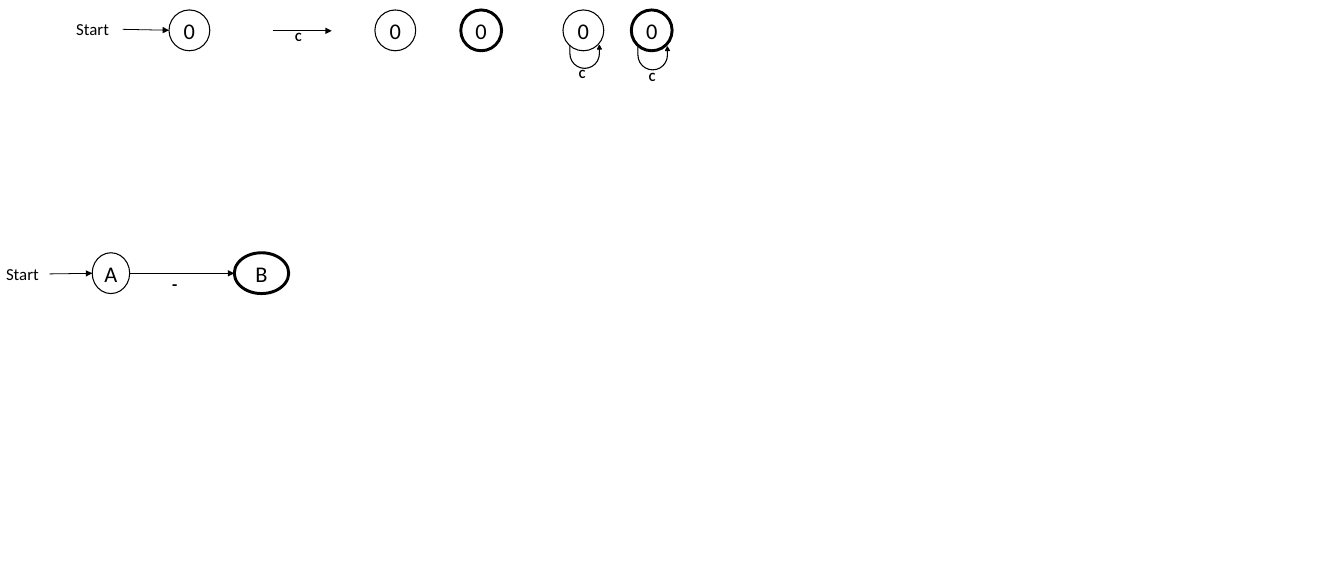
from lxml import etree
from pptx import Presentation
from pptx.dml.color import RGBColor
from pptx.enum.shapes import MSO_CONNECTOR, MSO_SHAPE
from pptx.enum.text import MSO_ANCHOR, PP_ALIGN
from pptx.oxml.ns import qn
from pptx.util import Cm, Pt

ELLIPSE = MSO_SHAPE.OVAL
U_TURN = MSO_SHAPE.U_TURN_ARROW
STRAIGHT = MSO_CONNECTOR.STRAIGHT
MIDDLE = MSO_ANCHOR.MIDDLE
TOP = MSO_ANCHOR.TOP
CENTER = PP_ALIGN.CENTER
LEFT = PP_ALIGN.LEFT

BLACK = RGBColor(0, 0, 0)
FONT = "Calibri"
NORMAL_LINE = 1
ACCEPTING_LINE = 2.75
STATE_SIZE = 1.35
TOP_ROW = 0.33
BOTTOM_ROW = 8.36


def write_text(shape, text, size, bold=False, align=LEFT, anchor=TOP, insets=(0, 0)):
    frame = shape.text_frame
    frame.word_wrap = True
    frame.vertical_anchor = anchor
    frame.margin_left = frame.margin_right = Cm(insets[0])
    frame.margin_top = frame.margin_bottom = Cm(insets[1])
    paragraph = frame.paragraphs[0]
    paragraph.alignment = align
    run = paragraph.add_run()
    run.text = text
    run.font.name = FONT
    run.font.size = Pt(size)
    run.font.bold = bold
    run.font.color.rgb = BLACK


def add_label(shapes, text, left, top, width, height, size, bold=False):
    box = shapes.add_textbox(Cm(left), Cm(top), Cm(width), Cm(height))
    write_text(box, text, size, bold, insets=(0.23, 0.12))


def add_start(shapes, left, top, width):
    add_label(shapes, "Start", left, top, width, 0.94, 15.8)


def add_symbol(shapes, left, top):
    add_label(shapes, "C", left, top, 0.56, 0.76, 11.8, bold=True)


def add_state(shapes, name, left, top, width=STATE_SIZE, line_width=NORMAL_LINE):
    state = shapes.add_shape(ELLIPSE, Cm(left), Cm(top), Cm(width), Cm(STATE_SIZE))
    state.shadow.inherit = False
    state.fill.background()
    state.line.color.rgb = BLACK
    state.line.width = Pt(line_width)
    write_text(state, name, 21, align=CENTER, anchor=MIDDLE)


def add_arrow(shapes, start_x, start_y, end_x, end_y):
    arrow = shapes.add_connector(STRAIGHT, Cm(start_x), Cm(start_y), Cm(end_x), Cm(end_y))
    arrow.line.color.rgb = BLACK
    arrow.line.width = Pt(0.75)
    etree.SubElement(arrow.line._get_or_add_ln(), qn("a:tailEnd"), type="triangle")
    etree.SubElement(arrow._element.spPr, qn("a:effectLst"))


def add_loop(shapes, left, top):
    loop = shapes.add_shape(U_TURN, Cm(left), Cm(top), Cm(1.04), Cm(0.76))
    loop.shadow.inherit = False
    for index, value in enumerate((0, 0.085, 0.164, 0.717, 1)):
        loop.adjustments[index] = value
    loop.rotation = 180
    loop._element.spPr.find(qn("a:xfrm")).set("flipH", "1")
    loop.fill.solid()
    loop.fill.fore_color.rgb = BLACK
    loop.line.color.rgb = BLACK
    loop.line.width = Pt(NORMAL_LINE)


def add_looping_state(slide, left, loop_left, loop_top, symbol_left, symbol_top, line_width):
    shapes = slide.shapes.add_group_shape().shapes
    add_state(shapes, "0", left, TOP_ROW, line_width=line_width)
    add_loop(shapes, loop_left, loop_top)
    add_symbol(shapes, symbol_left, symbol_top)


def add_legend(slide):
    # Start state
    start = slide.shapes.add_group_shape().shapes
    add_start(start, 2.29, 0.51, 1.78)
    add_arrow(start, 4.06, 0.97, 5.59, 1)
    add_state(start, "0", 5.59, TOP_ROW)

    # Transition
    add_state(slide.shapes, "0", 12.4, TOP_ROW)
    transition = slide.shapes.add_group_shape().shapes
    add_arrow(transition, 9.02, 1.02, 10.97, 1.02)
    add_symbol(transition, 9.53, 0.84)

    # Accepting state and states with loops
    add_state(slide.shapes, "0", 15.24, TOP_ROW, line_width=ACCEPTING_LINE)
    add_looping_state(slide, 18.62, 18.85, 1.5, 18.92, 2.06, NORMAL_LINE)
    add_looping_state(slide, 20.88, 21.1, 1.55, 21.23, 2.16, ACCEPTING_LINE)


def add_automaton(slide):
    middle = 9.04
    start = slide.shapes.add_group_shape().shapes
    add_start(start, -0.03, 8.59, 1.68)
    add_arrow(start, 1.63, middle + 0.02, 3.05, middle)
    add_state(start, "A", 3.05, BOTTOM_ROW, width=1.24)

    add_state(slide.shapes, "B", 7.75, BOTTOM_ROW, width=1.8, line_width=ACCEPTING_LINE)
    add_arrow(slide.shapes, 4.29, middle, 7.75, middle)
    add_label(slide.shapes, "-", 5.46, 8.92, 0.79, 0.94, 16, bold=True)


def main():
    presentation = Presentation()
    presentation.slide_width = Cm(44.45)
    presentation.slide_height = Cm(19.05)
    slide = presentation.slides.add_slide(presentation.slide_layouts[6])
    add_legend(slide)
    add_automaton(slide)
    presentation.save("out.pptx")


if __name__ == "__main__":
    main()
